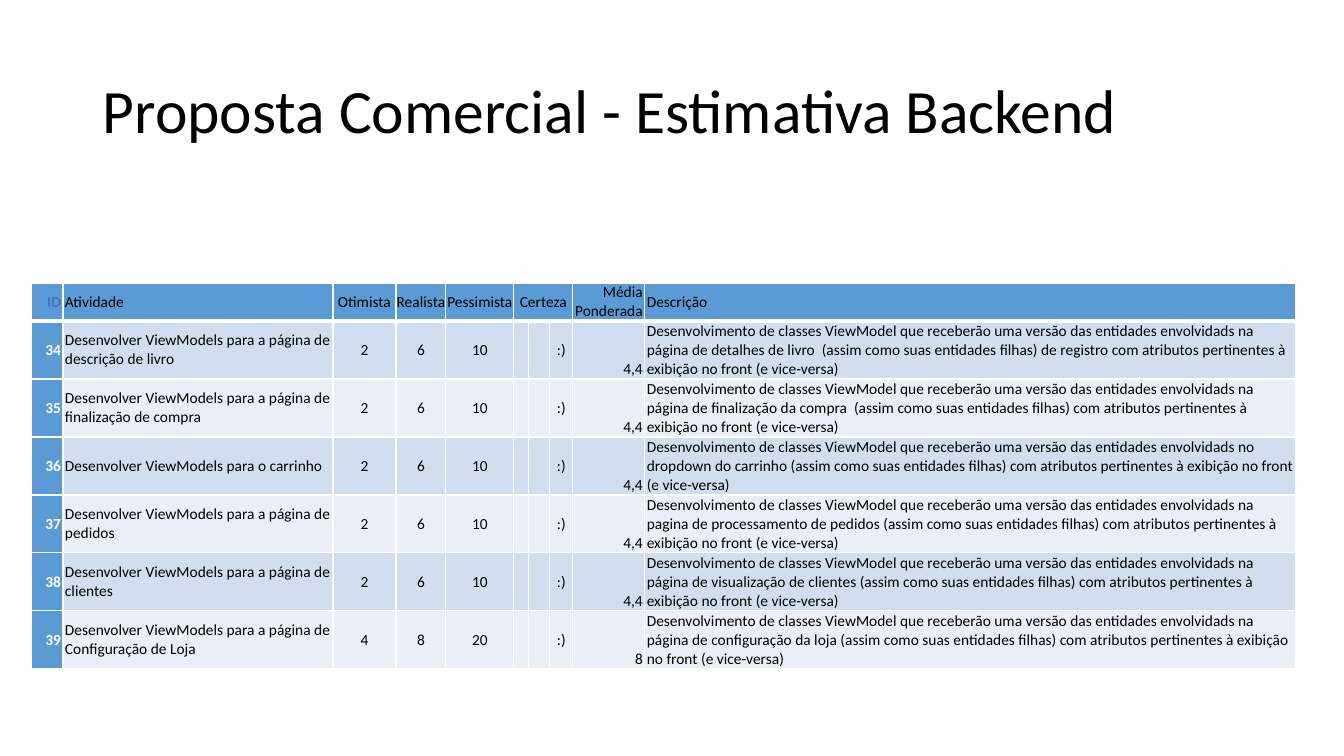
from lxml.etree import SubElement
from pptx import Presentation
from pptx.dml.color import RGBColor
from pptx.enum.text import MSO_ANCHOR, PP_ALIGN
from pptx.oxml.ns import qn
from pptx.util import Pt

PX = 914400 / 100.8
BLUE, BAND_DARK, BAND_LIGHT = "5B9BD5", "D2DEEF", "EAEFF7"
BLACK, WHITE, ID_BLUE = "000000", "FFFFFF", "4472C4"


def px(length):
    return round(length * PX)


def style_font(font, size, color, bold=False):
    font.name, font.size, font.bold = "Calibri", Pt(size), bold
    font.color.rgb = RGBColor.from_string(color)


presentation = Presentation()
presentation.slide_width, presentation.slide_height = px(1344), px(756)
slide = presentation.slides.add_slide(presentation.slide_layouts[6])

title = slide.shapes.add_textbox(px(93), px(41), px(1159), px(146)).text_frame
title.word_wrap = True
title.vertical_anchor = MSO_ANCHOR.MIDDLE
title.text = "Proposta Comercial - Estimativa Backend"
title.paragraphs[0].line_spacing = 0.9
style_font(title.paragraphs[0].font, 44, BLACK)

headings = ["ID", "Atividade", "Otimista", "Realista", "Pessimista",
            "Certeza", "", "", "Média Ponderada", "Descrição"]

# Activity, three estimates, weighted mean, and the part of the description that varies
activities = [
    ("a página de descrição de livro", 2, 6, 10, "4,4",
     "na página de detalhes de livro  (assim como suas entidades filhas) de registro com"),
    ("a página de finalização de compra", 2, 6, 10, "4,4",
     "na página de finalização da compra  (assim como suas entidades filhas) com"),
    ("o carrinho", 2, 6, 10, "4,4",
     "no dropdown do carrinho (assim como suas entidades filhas) com"),
    ("a página de pedidos", 2, 6, 10, "4,4",
     "na pagina de processamento de pedidos (assim como suas entidades filhas) com"),
    ("a página de clientes", 2, 6, 10, "4,4",
     "na página de visualização de clientes (assim como suas entidades filhas) com"),
    ("a página de Configuração de Loja", 4, 8, 20, "8",
     "na página de configuração da loja (assim como suas entidades filhas) com"),
]
rows = [headings]
for activity_id, (target, low, likely, high, mean, scope) in enumerate(activities, 34):
    rows.append([
        activity_id, f"Desenvolver ViewModels para {target}", low, likely, high,
        "", "", ":)", mean,
        "Desenvolvimento de classes ViewModel que receberão uma versão das entidades "
        f"envolvidads {scope} atributos pertinentes à exibição no front (e vice-versa)",
    ])

column_widths = [32, 270, 63, 50, 68, 15, 21, 23, 72, 651]
row_heights = [38] + [58] * len(activities)
LEFT, CENTER, RIGHT = PP_ALIGN.LEFT, PP_ALIGN.CENTER, PP_ALIGN.RIGHT
alignments = [RIGHT, LEFT] + [CENTER] * 6 + [RIGHT, LEFT]
MEAN_COLUMN = 8
BORDER_CLEARANCE = px(2)

estimates = slide.shapes.add_table(
    len(rows), len(headings), px(31), px(283),
    px(sum(column_widths)), px(sum(row_heights))).table
estimates.first_row = estimates.horz_banding = False
for column, width in zip(estimates.columns, column_widths):
    column.width = px(width)
for table_row, height in zip(estimates.rows, row_heights):
    table_row.height = px(height)

for r, row in enumerate(rows):
    for c, value in enumerate(row):
        cell = estimates.cell(r, c)
        cell.text = str(value)
        cell.margin_top = cell.margin_bottom = 0
        cell.margin_left = BORDER_CLEARANCE if alignments[c] == LEFT else 0
        cell.margin_right = BORDER_CLEARANCE if alignments[c] == RIGHT else 0
        cell.vertical_anchor = MSO_ANCHOR.BOTTOM if c == MEAN_COLUMN else MSO_ANCHOR.MIDDLE

        # The rule between the header and the body is three times as thick
        thick_side = {0: "lnB", 1: "lnT"}.get(r)
        cell_properties = cell._tc.get_or_add_tcPr()
        for side in ("lnL", "lnR", "lnT", "lnB"):
            weight = Pt(3 if side == thick_side else 1)
            border = SubElement(cell_properties, qn(f"a:{side}"), w=str(weight))
            SubElement(SubElement(border, qn("a:solidFill")), qn("a:srgbClr"), val=WHITE)

        band = BAND_DARK if r % 2 else BAND_LIGHT
        cell.fill.solid()
        cell.fill.fore_color.rgb = RGBColor.from_string(BLUE if r == 0 or c == 0 else band)

        paragraph = cell.text_frame.paragraphs[0]
        paragraph.alignment = alignments[c]
        id_color = WHITE if r else ID_BLUE
        style_font(paragraph.font, 11, BLACK if c else id_color, bold=c == 0)

estimates.cell(0, 5).merge(estimates.cell(0, 7))

presentation.save("out.pptx")
